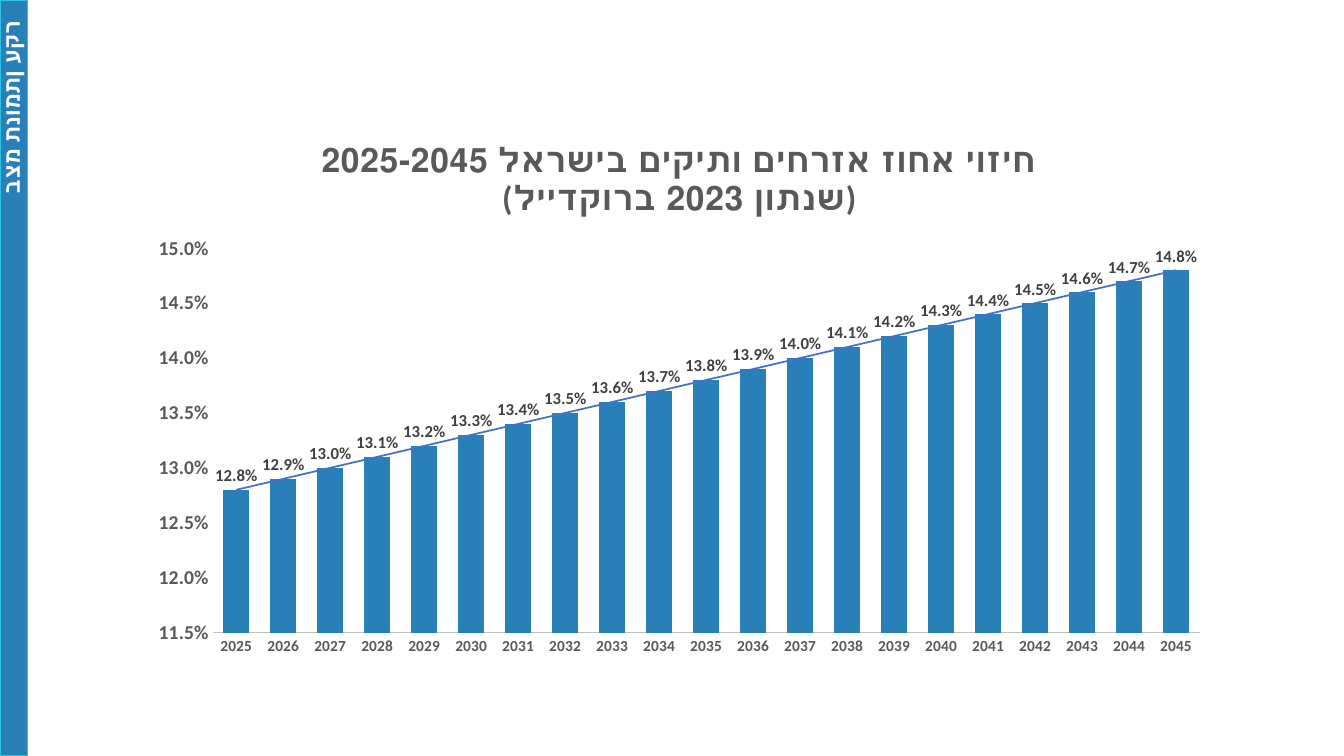
from lxml import etree
from pptx import Presentation
from pptx.chart.data import CategoryChartData
from pptx.dml.color import RGBColor
from pptx.enum.chart import XL_CHART_TYPE, XL_LABEL_POSITION, XL_TICK_MARK
from pptx.enum.shapes import MSO_SHAPE
from pptx.enum.text import PP_ALIGN
from pptx.oxml import parse_xml
from pptx.oxml.ns import nsdecls
from pptx.util import Cm, Pt

BLUE = "2980B9"
GREY = "595959"


def rgb(value):
    return RGBColor.from_string(value)


def style(font, size, color, bold=True):
    for name, value in {"name": "Calibri", "size": Pt(size), "bold": bold}.items():
        setattr(font, name, value)
    font.color.rgb = rgb(color)


prs = Presentation()
prs.slide_width, prs.slide_height = Cm(33.87), Cm(19.05)
s = prs.slides.add_slide(prs.slide_layouts[6])

# Forecast chart: one bar a year, rising by 0.1% each year
years = range(2025, 2046)
data = CategoryChartData(number_format="0.0%")
data.categories = [str(year) for year in years]
data.add_series("Series 1", [round(0.128 + 0.001 * i, 3) for i in range(len(years))])
chart = s.shapes.add_chart(XL_CHART_TYPE.COLUMN_CLUSTERED, Cm(3.45), Cm(3.12),
                           Cm(27.33), Cm(13.64), data).chart
chart.has_legend = False
style(chart.font, 10, "000000", bold=False)

tf = chart.chart_title.text_frame
title_lines = ["חיזוי אחוז אזרחים ותיקים בישראל 2025-2045", "(שנתון 2023 ברוקדייל)"]
for i, line in enumerate(title_lines):
    p = tf.paragraphs[0] if i == 0 else tf.add_paragraph()
    p.alignment = PP_ALIGN.CENTER
    p._p.get_or_add_pPr().set("rtl", "1")
    r = p.add_run()
    r.text = line
    style(r.font, 24, GREY)
    r._r.get_or_add_rPr().set("spc", "50")
chart.chart_title.include_in_layout = False

years_axis, share_axis = chart.category_axis, chart.value_axis
for axis, size in ((years_axis, 11), (share_axis, 14)):
    axis.major_tick_mark = axis.minor_tick_mark = XL_TICK_MARK.NONE
    axis.has_major_gridlines = False
    style(axis.tick_labels.font, size, GREY)
years_axis.format.line.color.rgb = rgb("BFBFBF")
years_axis.format.line.width = Pt(1.25)
share_axis.format.line.fill.background()
scale = {"minimum_scale": 0.115, "maximum_scale": 0.15, "major_unit": 0.005}
for name, value in scale.items():
    setattr(share_axis, name, value)
share_axis.tick_labels.number_format = "0.0%"
share_axis.tick_labels.number_format_is_linked = False

plot = chart.plots[0]
plot.gap_width, plot.overlap, plot.vary_by_categories = 80, 25, False
bars = plot.series[0]
bars.format.fill.solid()
bars.format.fill.fore_color.rgb = rgb(BLUE)
labels = bars.data_labels
labels.show_value = True
labels.position = XL_LABEL_POSITION.OUTSIDE_END
labels.number_format = "0.0%"
labels.number_format_is_linked = False
style(labels.font, 12, "404040")

trend = parse_xml(
    f'<c:trendline {nsdecls("c", "a")}><c:spPr><a:ln w="{Pt(1.25)}"><a:solidFill>'
    '<a:srgbClr val="4472C4"/></a:solidFill></a:ln></c:spPr>'
    '<c:trendlineType val="linear"/><c:dispRSqr val="0"/><c:dispEq val="0"/></c:trendline>')
bars._element.find("{*}cat").addprevious(trend)

# Fixed inner plot area, as shares of the chart
plot_area = chart._chartSpace.chart.plotArea
for old in plot_area.findall("{*}layout"):
    plot_area.remove(old)
layout = parse_xml(f'<c:layout {nsdecls("c")}><c:manualLayout/></c:layout>')
settings = {"layoutTarget": "inner", "xMode": "edge", "yMode": "edge",
            "x": 0.07, "y": 0.23, "w": 0.91, "h": 0.71}
for name, value in settings.items():
    etree.SubElement(layout[0], f"{{{layout.nsmap['c']}}}{name}").set("val", str(value))
plot_area.insert(0, layout)

# Side bar with its turned heading
bar = s.shapes.add_shape(MSO_SHAPE.RECTANGLE, 0, 0, Cm(0.69), prs.slide_height)
bar.shadow.inherit = False
bar.fill.solid()
bar.fill.fore_color.rgb = rgb(BLUE)
bar.line.color.rgb = rgb("2CC2E0")
bar.line.width = Pt(1)

# Long enough to hold the whole heading on one line
heading = s.shapes.add_textbox(Cm(-2.52), Cm(2.62), Cm(5.6), Cm(0.94))
heading.rotation = 270
tf = heading.text_frame
tf.word_wrap = True
p = tf.paragraphs[0]
p.alignment = PP_ALIGN.RIGHT
p._p.get_or_add_pPr().set("rtl", "1")
r = p.add_run()
r.text = "רקע ןתמונת מצב"
style(r.font, 16, "FFFFFF")

prs.save("out.pptx")
